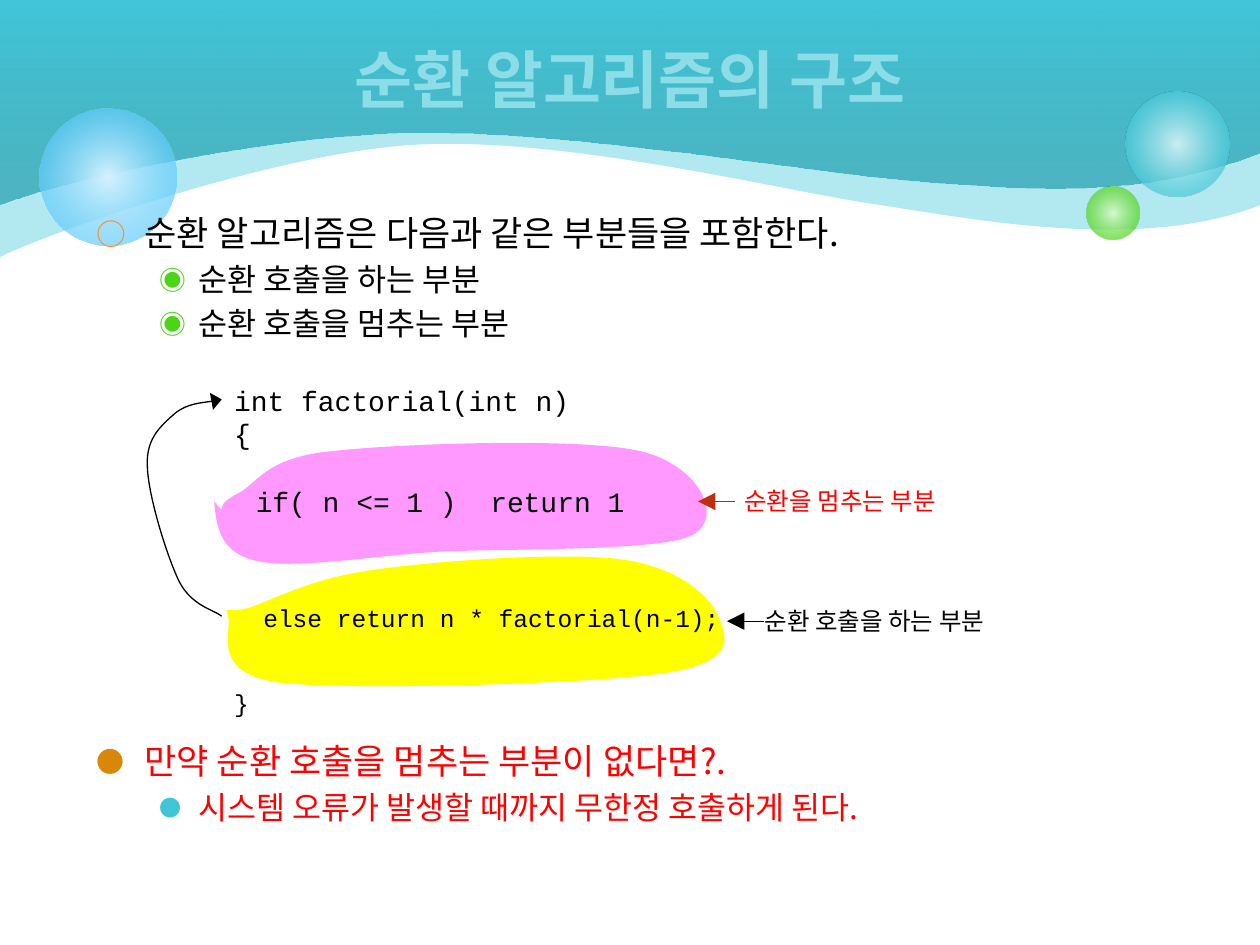
from pptx import Presentation
from pptx.dml.color import RGBColor
from pptx.enum.shapes import MSO_CONNECTOR, MSO_SHAPE
from pptx.enum.text import MSO_ANCHOR, PP_ALIGN
from pptx.oxml import parse_xml
from pptx.oxml.ns import nsdecls, qn
from pptx.util import Inches, Pt

SANS, MONO = "Noto Sans CJK KR", "Courier New"
NS = nsdecls("a")

deck = Presentation()
deck.slide_width, deck.slide_height = Inches(10), Inches(7.5)
slide = deck.slides.add_slide(deck.slide_layouts[6])
shapes = slide.shapes


def hue(code):
    return RGBColor.from_string(code)


def paint(shape, stops, mode=""):
    shape.shadow.inherit = False
    shape.line.fill.background()
    shape.fill.background()
    tint = [f'<a:srgbClr val="{code}"><a:alpha val="{alpha * 1000}"/></a:srgbClr>'
            for _, code, alpha in stops]
    if mode:
        marks = "".join(f'<a:gs pos="{stop[0] * 1000}">{clr}</a:gs>'
                        for stop, clr in zip(stops, tint))
        fill = f'<a:gradFill {NS} rotWithShape="1"><a:gsLst>{marks}</a:gsLst>{mode}</a:gradFill>'
    else:
        fill = f'<a:solidFill {NS}>{tint[0]}</a:solidFill>'
    props = shape._element.spPr
    props.replace(props.find(qn("a:noFill")), parse_xml(fill))


LINEAR = '<a:lin ang="16200000" scaled="0"/>'
RADIAL = ('<a:path path="circle"><a:fillToRect l="50000" t="50000" '
          'r="50000" b="50000"/></a:path>')

pale = [(0, 0), (0, 54), (0, 150), (0, 204), (33, 187), (214, 122), (328, 115),
        (443, 108), (606, 148), (687, 161), (768, 173), (902, 201), (1000, 163),
        (1001, 0), (0, 0)]
deep = [(0, 0), (0, 54), (0, 108), (0, 162), (45, 144), (203, 108), (326, 105),
        (449, 102), (658, 139), (737, 144), (816, 149), (902, 159), (1000, 121),
        (1001, 0), (0, 0)]
yellow = [(181, 489), (178, 479), (179, 488), (199, 482), (219, 475), (250, 458),
          (299, 452), (348, 445), (448, 438), (493, 444), (539, 450), (564, 474),
          (570, 489), (576, 504), (587, 525), (529, 534), (471, 543), (281, 548),
          (223, 542), (165, 535), (185, 499), (181, 489)]
pink = [(176, 405), (176, 402), (175, 399), (190, 391), (205, 383), (211, 363),
        (264, 358), (317, 352), (461, 347), (508, 358), (555, 369), (576, 411),
        (549, 425), (522, 438), (403, 435), (346, 438), (288, 442), (233, 452),
        (203, 445), (174, 438), (172, 418), (170, 398)]
loop = [(176, 489), (170, 484), (152, 481), (142, 461), (132, 440), (117, 391),
        (117, 369), (116, 347), (129, 337), (139, 328), (149, 320), (168, 319),
        (176, 317)]
curves = [
    (pale, [(0, "40C6D8", 40)], ""),
    (deep, [(0, "249EAE", 69), (100, "40C6D8", 100)], LINEAR),
    (yellow, [(0, "FFFF00", 100)], ""),
    (pink, [(0, "FF99FF", 100)], ""),
    (loop, None, ""),
]
for dots, stops, mode in curves:
    pen = shapes.build_freeform(*dots[0], scale=Inches(0.01))
    pen.add_line_segments(dots[1:], close=dots is not loop)
    curve = pen.convert_to_shape()
    steps = list(curve._element.iter(qn("a:lnTo")))
    for i in range(0, len(steps) - 2, 3):
        bend = parse_xml(f"<a:cubicBezTo {NS}/>")
        steps[i].addprevious(bend)
        for step in steps[i:i + 3]:
            bend.append(step[0])
            step.getparent().remove(step)
    if stops:
        paint(curve, stops, mode)

curve.shadow.inherit = False
curve.fill.background()
arrows = [(curve, "000000", "med")]

balls = [
    (8.93, 0.73, 0.83, [(0, "D9F4F7", 90), (76, "40C6D8", 70)]),
    (8.62, 1.48, 0.42, [(0, "DAFACD", 90), (76, "4CD416", 70)]),
    (0.31, 0.86, 1.09, [(0, "D6F2FE", 100), (100, "33BDFB", 54)]),
]
for x, y, size, stops in balls:
    ball = shapes.add_shape(MSO_SHAPE.OVAL, Inches(x), Inches(y), Inches(size), Inches(size))
    paint(ball, stops, RADIAL)

for x, y, code in [(6.06, 4.93, "000000"), (5.83, 3.98, "BD2E11")]:
    link = shapes.add_connector(MSO_CONNECTOR.STRAIGHT, Inches(x), Inches(y),
                                Inches(x - 0.29), Inches(y))
    arrows.append((link, code, "lg"))
for item, code, size in arrows:
    item.line.color.rgb = hue(code)
    item.line.width = Pt(0.75)
    item.line._get_or_add_ln().append(
        parse_xml(f'<a:tailEnd {NS} type="triangle" w="lg" len="{size}"/>'))
for item, _, _ in arrows[1:]:
    item._element.spPr.append(parse_xml(f"<a:effectLst {NS}/>"))

mid = {"word_wrap": True, "vertical_anchor": MSO_ANCHOR.MIDDLE}
inset = {**mid, "margin_left": Inches(0.33)}
top = {"word_wrap": True, "vertical_anchor": MSO_ANCHOR.TOP}
free = {"word_wrap": False}
ring = (0.38, 0.38, "○", "FE8C2E", 85)
eye = (0.81, 0.31, "◉", "4CD416", 85)
gold = (0.38, 0.38, "●", "D98609", 80)
teal = (0.81, 0.31, "●", "40C6D8", 70)
texts = [
    ((0.67, 1.63, 8.66, 1.33), top, SANS, "000000", [
        ("순환 알고리즘은 다음과 같은 부분들을 포함한다.", 20, ring),
        ("순환 호출을 하는 부분", 18, eye),
        ("순환 호출을 멈추는 부분", 18, eye)]),
    ((0.5, 0, 9, 1.25), mid, SANS, "8CDDE8", [("순환 알고리즘의 구조", 36, None)]),
    ((1.76, 4.52, 4.12, 0.76), inset, MONO, "000000",
     [("else return n * factorial(n-1);", 14, None)]),
    ((1.76, 2.86, 2.95, 0.9), mid, MONO, "000000",
     [("int factorial(int n)", 16, None), ("{", 16, None)]),
    ((5.81, 3.81, 1.9, 0.34), free, SANS, "FF0000", [("순환을 멈추는 부분", 14, None)]),
    ((5.97, 4.76, 2.16, 0.34), free, SANS, "000000", [("순환 호출을 하는 부분", 14, None)]),
    ((1.76, 5.34, 0.28, 0.48), mid, MONO, "000000", [("}", 14, None)]),
    ((1.7, 3.6, 4.12, 0.75), inset, MONO, "000000", [("if( n <= 1 )  return 1", 16, None)]),
    ((0.67, 5.82, 8.66, 1.33), top, SANS, "FF0000", [
        ("만약 순환 호출을 멈추는 부분이 없다면?.", 20, gold),
        ("시스템 오류가 발생할 때까지 무한정 호출하게 된다.", 18, teal)]),
]
for place, form, face, code, lines in texts:
    frame = shapes.add_textbox(*map(Inches, place)).text_frame
    for key, value in form.items():
        setattr(frame, key, value)
    for i, (words, size, mark) in enumerate(lines):
        para = frame.add_paragraph() if i else frame.paragraphs[0]
        run = para.add_run()
        run.text = words
        title = size == 36
        look = {"name": face, "size": Pt(size), "bold": title}
        for key, value in look.items():
            setattr(run.font, key, value)
        run.font.color.rgb = hue(code)
        run._r.rPr.append(parse_xml(f'<a:ea {NS} typeface="{SANS}"/>'))
        if title:
            para.alignment = PP_ALIGN.CENTER
        if mark:
            left, hang, sign, tint, scale = mark
            para.space_before = Pt(size * 0.2)
            props = para._p.get_or_add_pPr()
            props.set("marL", str(Inches(left)))
            props.set("indent", str(-Inches(hang)))
            for part in (f'<a:buClr {NS}><a:srgbClr val="{tint}"/></a:buClr>',
                         f'<a:buSzPct {NS} val="{scale * 1000}"/>',
                         f'<a:buFont {NS} typeface="{SANS}"/>',
                         f'<a:buChar {NS} char="{sign}"/>'):
                props.append(parse_xml(part))

deck.save("out.pptx")
